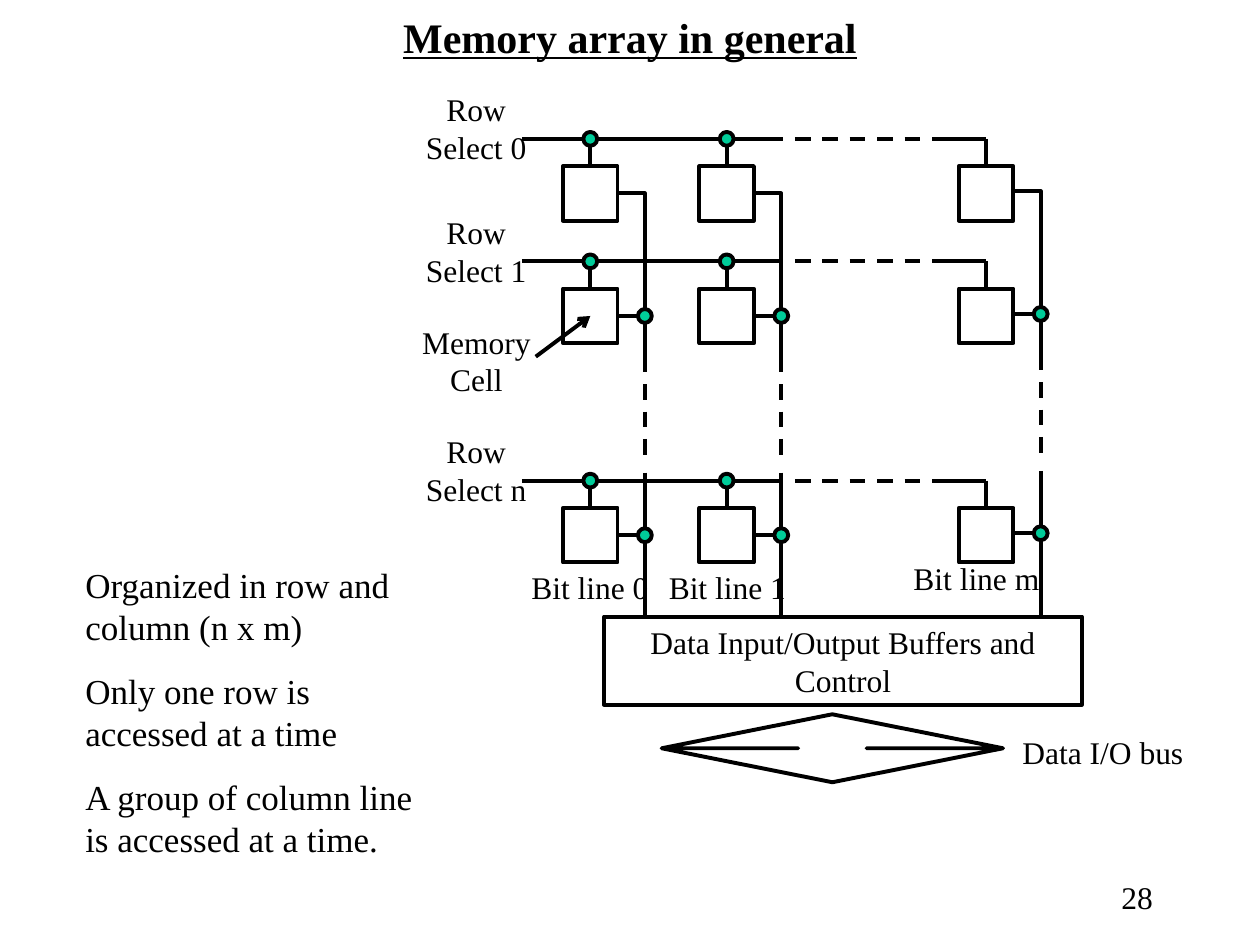
from pptx import Presentation
from pptx.dml.color import RGBColor
from pptx.enum.dml import MSO_LINE
from pptx.enum.shapes import MSO_CONNECTOR, MSO_SHAPE
from pptx.enum.text import MSO_ANCHOR, MSO_AUTO_SIZE, PP_ALIGN
from pptx.oxml.ns import qn
from pptx.util import Cm, Pt
from lxml import etree

LEFT, CENTER, RIGHT = PP_ALIGN.LEFT, PP_ALIGN.CENTER, PP_ALIGN.RIGHT
TOP, MIDDLE = MSO_ANCHOR.TOP, MSO_ANCHOR.MIDDLE
FIT_SHAPE, FIXED = MSO_AUTO_SIZE.SHAPE_TO_FIT_TEXT, MSO_AUTO_SIZE.NONE
RECT, OVAL, BUS_ARROW = MSO_SHAPE.RECTANGLE, MSO_SHAPE.OVAL, MSO_SHAPE.UP_DOWN_ARROW
STRAIGHT, DASH = MSO_CONNECTOR.STRAIGHT, MSO_LINE.DASH

COLORS = {"ink": "000000", "node": "00CC99"}


class Diagram:
    """Style and drawing methods for one slide; all lengths in centimetres."""

    font = "Times New Roman"
    stroke = Pt(2.25)
    node_size = 0.28

    def __init__(self, slide):
        self.slide = slide
        self.shapes = slide.shapes

    def color(self, name):
        return RGBColor.from_string(COLORS[name])

    def outline(self, shape, fill=None):
        shape.shadow.inherit = False
        if fill:
            shape.fill.solid()
            shape.fill.fore_color.rgb = self.color(fill)
        else:
            shape.fill.background()
        shape.line.color.rgb = self.color("ink")
        shape.line.width = self.stroke
        return shape

    def shape(self, kind, x, y, w, h, fill=None):
        return self.outline(self.shapes.add_shape(kind, Cm(x), Cm(y), Cm(w), Cm(h)), fill)

    def node(self, x, y):
        d = self.node_size
        self.shape(OVAL, x - d / 2, y - d / 2, d, d, "node")

    def line(self, x1, y1, x2, y2, dashed=False, arrow=False):
        line = self.shapes.add_connector(STRAIGHT, Cm(x1), Cm(y1), Cm(x2), Cm(y2))
        line.line.color.rgb = self.color("ink")
        line.line.width = self.stroke
        if dashed:
            line.line.dash_style = DASH
        properties = line._element.spPr
        if arrow:
            etree.SubElement(properties.find(qn("a:ln")), qn("a:tailEnd"), type="arrow")
        etree.SubElement(properties, qn("a:effectLst"))

    def polyline(self, start, *points):
        builder = self.shapes.build_freeform(Cm(start[0]), Cm(start[1]))
        builder.add_line_segments([(Cm(x), Cm(y)) for x, y in points], close=False)
        self.outline(builder.convert_to_shape())

    def add_text(self, shape, paragraphs, size=18, align=CENTER, anchor=TOP,
                 wrap=True, fit=FIT_SHAPE, gap=0, heading=False):
        frame = shape.text_frame
        frame.word_wrap = wrap
        frame.auto_size = fit
        frame.vertical_anchor = anchor
        for i, text in enumerate(paragraphs):
            paragraph = frame.add_paragraph() if i else frame.paragraphs[0]
            paragraph.alignment = align
            if i and gap:
                paragraph.space_before = Pt(gap)
            run = paragraph.add_run()
            run.text = text
            run.font.name = self.font
            run.font.size = Pt(size)
            run.font.color.rgb = self.color("ink")
            if heading:
                run.font.bold = run.font.underline = True

    def label(self, x, y, w, h, paragraphs, **style):
        self.add_text(self.shapes.add_textbox(Cm(x), Cm(y), Cm(w), Cm(h)), paragraphs, **style)


# Grid of the array: left edge of each column, top of each row
CELL = 1.1
HALF = CELL / 2
COLUMNS = [11.35, 14.1, 19.33]
ROWS = {"0": 3.35, "1": 5.82, "n": 10.24}
SELECT_START, DASH_START, DASH_END = 10.52, 15.47, 19.05
BIT_OFFSET = 1.65
BIT_DASH_START, BIT_DASH_END, BIT_RESUME = 7.19, 9.4, 9.53
BUFFER_TOP = 12.43


def draw_row(diagram, name, top):
    select_y = top - HALF
    centers = [left + HALF for left in COLUMNS]
    for left, center in zip(COLUMNS, centers):
        diagram.shape(RECT, left, top, CELL, CELL)
        diagram.line(center, select_y, center, top)
    diagram.line(SELECT_START, select_y, DASH_START, select_y)
    diagram.line(DASH_START, select_y, DASH_END, select_y, dashed=True)
    diagram.line(DASH_END, select_y, centers[-1], select_y)
    for center in centers[:-1]:
        diagram.node(center, select_y)
    diagram.label(8.33, top - 1.65, 2.54, 1.78, ["Row", f"Select {name}"], wrap=False)


def draw_bit_line(diagram, left, lift):
    edge, bit_x = left + CELL, left + BIT_OFFSET
    first, *others = [top + HALF - lift for top in ROWS.values()]
    diagram.polyline((edge, first), (bit_x, first), (bit_x, BIT_DASH_START - lift))
    diagram.line(bit_x, BIT_DASH_START - lift, bit_x, BIT_DASH_END - lift, dashed=True)
    diagram.line(bit_x, BIT_RESUME - lift, bit_x, BUFFER_TOP)
    for y in others:
        diagram.line(edge, y, bit_x, y)
        diagram.node(bit_x, y)


def main():
    deck = Presentation()
    deck.slide_width, deck.slide_height = Cm(25.4), Cm(19.05)
    diagram = Diagram(deck.slides.add_slide(deck.slide_layouts[6]))

    # Title and page number
    diagram.label(1.9, 0.1, 21.6, 1.27, ["Memory array in general"], size=24,
                  anchor=MIDDLE, fit=FIXED, heading=True)
    diagram.label(18.21, 17.58, 5.28, 1.27, ["28"], align=RIGHT, fit=FIXED)

    # Memory cells with their row and bit lines
    for name, top in ROWS.items():
        draw_row(diagram, name, top)
    for left, lift in zip(COLUMNS, (0, 0, 0.04)):
        draw_bit_line(diagram, left, lift)

    # Bit line labels
    for name, x, y, width in (("0", 10.46, 11.33, 2.87), ("1", 13.23, 11.33, 2.87),
                              ("m", 18.16, 11.15, 3.05)):
        diagram.label(x, y, width, 1.02, [f"Bit line {name}"], wrap=False)

    # Pointer to a memory cell
    diagram.line(10.8, 7.19, COLUMNS[0] + HALF, ROWS["1"] + HALF, arrow=True)
    diagram.label(8.26, 6.38, 2.69, 1.78, ["Memory", "Cell"], wrap=False)

    # Buffers and data bus
    buffers = diagram.shape(RECT, 12.18, BUFFER_TOP, 9.63, 1.78)
    diagram.add_text(buffers, ["Data Input/Output Buffers and Control"])
    bus = diagram.shape(BUS_ARROW, 13.34, 14.4, 6.88, 1.37)
    bus.adjustments[0], bus.adjustments[1] = 0.5, 0.2
    diagram.label(19.91, 14.66, 4.65, 1.02, ["Data I/O bus"])

    # Notes on the organization
    diagram.label(1.47, 11.23, 7.62, 6.22,
                  ["Organized in row and column (n x m)",
                   "Only one row is accessed at a time",
                   "A group of column line is accessed at a time."],
                  size=20, align=LEFT, gap=12.5)

    deck.save("out.pptx")


if __name__ == "__main__":
    main()
